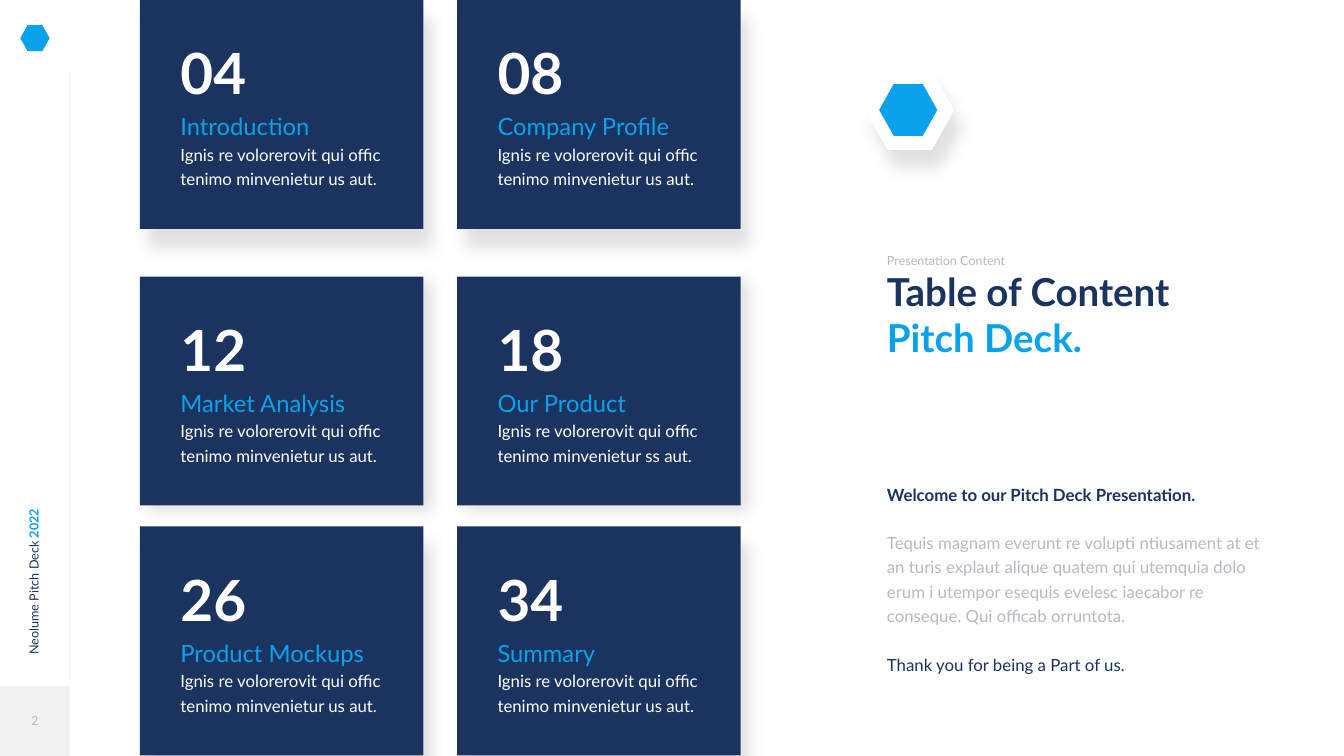
from lxml.etree import SubElement
from pptx import Presentation
from pptx.dml.color import RGBColor
from pptx.enum.shapes import MSO_SHAPE
from pptx.enum.text import MSO_ANCHOR, MSO_AUTO_SIZE, PP_ALIGN
from pptx.oxml.ns import qn
from pptx.util import Inches, Pt

INK = {"navy": "1B335F", "blue": "0AA3EB", "gray": "B9B9C2",
       "white": "FFFFFF", "shade": "5E5E5E"}
FONT = "Lato"

BLURB = "Ignis re volorerovit qui offic tenimo minvenietur us aut."
CARDS = [  # number, title, blurb; two to a row
    ("04", "Introduction", BLURB),
    ("08", "Company Profile", BLURB),
    ("12", "Market Analysis", BLURB),
    ("18", "Our Product", BLURB.replace(" us ", " ss ")),
    ("26", "Product Mockups", BLURB),
    ("34", "Summary", BLURB),
]

# A paragraph is (runs, line spacing, space before);
# a run is (text, size, colour, bold).
LABEL = [([("Neolume Pitch Deck ", 18, "navy", False),
           ("2022", 18, "blue", True)], 1.1, 0)]
PAGE = [([("2", 18, "gray", False)], 1.1, 0)]
HEAD = [
    ([("Presentation Content", 18, "gray", False)], 1.1, 0),
    ([("Table of Content", 55, "navy", True)], None, 0),
    ([("Pitch Deck.", 55, "blue", True)], None, 0),
]
BODY = [
    ([("Welcome to our Pitch Deck Presentation.", 24, "navy", True)], 1.2, 0),
    ([("Tequis magnam everunt re volupti ntiusament at et an turis explaut "
       "alique quatem qui utemquia dolo erum i utempor esequis evelesc "
       "iaecabor re conseque. Qui officab orruntota.",
       24, "gray", False)], 1.2, 35),
    ([("Thank you for being a Part of us.", 24, "navy", False)], 1.2, 35),
]

# Grid: 19.2 columns by 10.8 rows of square cells
WIDE, HIGH = Inches(26.67), Inches(15)
CELL = WIDE / 19.2
LEFT, STEP = 2, 4.53
CARD_W, CARD_H = 4.05, 3.27
BACK_TOPS = (0, 3.76, 7.52)
FACE_TOPS = (0, 3.95, 7.52)
SIDE = 12.67
RULES, RULE_TOP, RULE_H = 6, 1.02, 1.46


def cells(*sizes):
    return [round(size * CELL) for size in sizes]


def rgb(name):
    return RGBColor.from_string(INK[name])


def add_form(slide, kind, box, color, alpha=None):
    form = slide.shapes.add_shape(kind, *cells(*box))
    form.shadow.inherit = False
    form.line.fill.background()
    form.fill.solid()
    form.fill.fore_color.rgb = rgb(color)
    if alpha:
        tint = form.fill._xPr.find(qn("a:solidFill"))[0]
        SubElement(tint, qn("a:alpha"), val=str(alpha * 1000))
    if kind == MSO_SHAPE.HEXAGON:
        form.adjustments[0] = 0.28
    return form


def cast(form):
    """Give the form a soft shadow, down and to the right."""
    glow = SubElement(form._element.spPr.find(qn("a:effectLst")),
                      qn("a:outerShdw"), blurRad=str(Pt(22)),
                      dist=str(Pt(27.8)), dir=str(66 * 60000),
                      algn="ctr", rotWithShape="0")
    tint = SubElement(glow, qn("a:srgbClr"), val=INK["shade"])
    SubElement(tint, qn("a:alpha"), val="18000")


def add_text(slide, box, paras, pad=0, grow=True):
    form = slide.shapes.add_textbox(*cells(*box))
    frame = form.text_frame
    frame.word_wrap = True
    frame.auto_size = (MSO_AUTO_SIZE.SHAPE_TO_FIT_TEXT if grow
                       else MSO_AUTO_SIZE.NONE)
    frame.margin_left = frame.margin_right = Inches(pad)
    frame.margin_top = frame.margin_bottom = Inches(pad)
    for i, (runs, lead, gap) in enumerate(paras):
        para = frame.add_paragraph() if i else frame.paragraphs[0]
        if lead:
            para.line_spacing = lead
        if gap:
            para.space_before = Pt(gap)
        for words, size, color, bold in runs:
            run = para.add_run()
            run.text = words
            run.font.name = FONT
            run.font.size = Pt(size)
            run.font.bold = bold
            run.font.color.rgb = rgb(color)
    return form


def add_rail(slide):
    label = add_text(slide, (-1.04, 7.73, 3.02, 0.31), LABEL, 0.06)
    label.rotation = 270
    label.text_frame.vertical_anchor = MSO_ANCHOR.MIDDLE
    add_form(slide, MSO_SHAPE.RECTANGLE, (0, 9.8, 1, 1), "gray", 20)
    add_form(slide, MSO_SHAPE.HEXAGON, (0.29, 0.36, 0.42, 0.37), "blue")
    for i in range(RULES):
        top = RULE_TOP + i * RULE_H
        add_form(slide, MSO_SHAPE.RECTANGLE, (0.99, top, 0.01, RULE_H),
                 "gray", 20)
    page = add_text(slide, (0.18, 10.13, 0.63, 0.31), PAGE, 0.05, False)
    page.text_frame.paragraphs[0].alignment = PP_ALIGN.CENTER


def add_cards(slide):
    spots = [(i // 2, LEFT + i % 2 * STEP) for i in range(len(CARDS))]
    for row, x in spots:
        cast(add_form(slide, MSO_SHAPE.RECTANGLE,
                      (x, BACK_TOPS[row], CARD_W, CARD_H), "white"))
    for (row, x), (num, title, blurb) in zip(spots, CARDS):
        top = FACE_TOPS[row]
        add_form(slide, MSO_SHAPE.RECTANGLE, (x, top, CARD_W, CARD_H), "navy")
        add_text(slide, (x + 0.52, top + 0.28, 3.03, 2.44), [
            ([(num, 81, "white", True)], 1.21, 0),
            ([(title, 34, "blue", False)], 1.21, 0),
            ([(blurb, 24, "white", False)], 1.2, 0),
        ], 0.08)


def add_side(slide):
    add_text(slide, (SIDE, 3.59, 5.53, 1.58), HEAD)
    add_text(slide, (SIDE, 6.86, 5.53, 2.76), BODY)
    cast(add_form(slide, MSO_SHAPE.HEXAGON, (12.36, 1.01, 1.27, 1.13),
                  "white"))
    add_form(slide, MSO_SHAPE.HEXAGON, (12.56, 1.2, 0.83, 0.74), "blue")


def main():
    deck = Presentation()
    deck.slide_width, deck.slide_height = WIDE, HIGH
    slide = deck.slides.add_slide(deck.slide_layouts[6])
    add_rail(slide)
    add_cards(slide)
    add_side(slide)
    deck.save("out.pptx")


if __name__ == "__main__":
    main()
